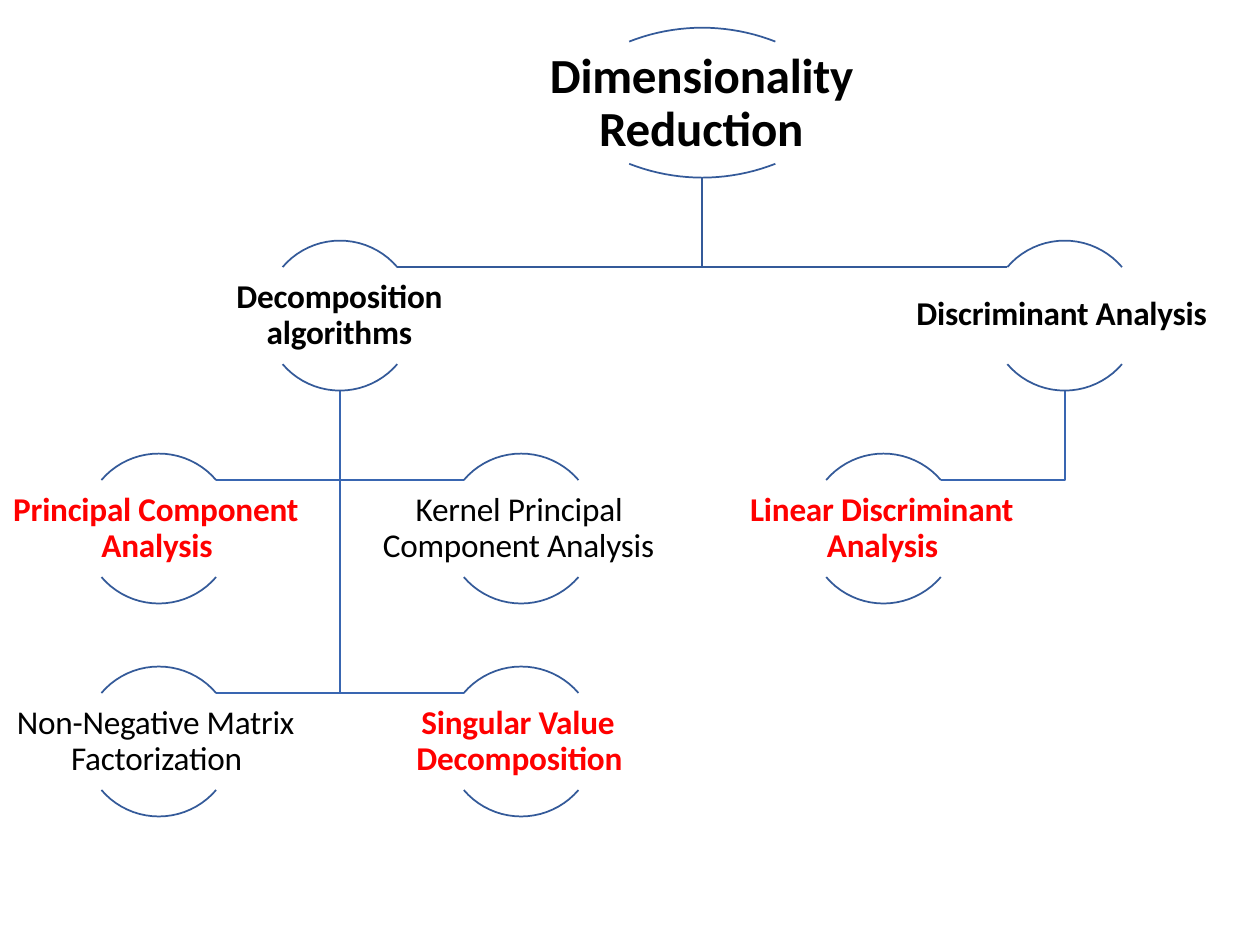
from dataclasses import dataclass
from math import asin, cos, sin

from pptx import Presentation
from pptx.dml.color import RGBColor
from pptx.enum.text import MSO_ANCHOR, MSO_AUTO_SIZE, PP_ALIGN
from pptx.util import Inches, Pt

TOP = MSO_ANCHOR.TOP
GROW = MSO_AUTO_SIZE.SHAPE_TO_FIT_TEXT
LEFT = PP_ALIGN.LEFT

WIDE, HIGH = 10, 7.5
COL, ROW = (8.45 - 1.26) / 5, 1.69
EDGE, HEAD = 1.26, 0.22
TALL = 1.19
STEPS = 20


@dataclass(frozen=True)
class Theme:
    font: str = "Calibri"
    ink: str = "000000"
    key: str = "FF0000"
    arc: str = "345A99"
    link: str = "3966B1"
    line: float = 1
    title: float = 28
    body: float = 19
    title_gap: float = 30.2
    body_gap: float = 20.5
    track: str = "-10"


THEME = Theme()


@dataclass(frozen=True)
class Node:
    text: str
    col: float
    row: int
    span: float
    left: float
    first: float
    bold: bool = True
    color: str = THEME.ink
    half: float = 0.455
    sag: float = 0.21
    drop: float = 0.26
    tall: float = 0.63
    inset: float = 0.05
    size: float = THEME.body
    gap: float | None = THEME.body_gap
    before: float = 3.6

    @property
    def mid(self):
        return EDGE + self.col * COL

    @property
    def top(self):
        return HEAD + self.row * ROW

    @property
    def base(self):
        return self.top + TALL


ROOT = Node("Dimensionality Reduction", 3, 0, 1.71, 0.41, -0.39,
            half=0.58, sag=0.11, drop=0.11, tall=0.91, inset=0.07,
            size=THEME.title, gap=THEME.title_gap, before=4.8)
SPLIT = Node("Decomposition algorithms", 1, 1, 1.17, 0.26, -0.24)
CLASS = Node("Discriminant Analysis", 5, 1, 1.65, 0.01, 0,
             drop=0.4, tall=0.34, inset=0.01, gap=None, before=1)
PARTS = [
    Node("Principal Component Analysis", 0, 2, 1.62, 0.71, -0.7, color=THEME.key),
    Node("Kernel Principal Component Analysis", 2, 2, 1.54, 0.01, 0.26, bold=False),
    Node("Non-Negative Matrix Factorization", 0, 3, 1.58, 0.44, -0.43, bold=False),
    Node("Singular Value Decomposition", 2, 3, 1.17, 0.01, 0.04, color=THEME.key),
]
LINEAR = Node("Linear Discriminant Analysis", 4, 2, 1.5, 0.63, -0.61, color=THEME.key)


def draw(slide, trails, color):
    trails = [[(Inches(x), Inches(y)) for x, y in trail] for trail in trails]
    pen = slide.shapes.build_freeform(*trails[0][0])
    for num, trail in enumerate(trails):
        if num:
            pen.move_to(*trail[0])
        pen.add_line_segments(trail[1:], close=False)
    shape = pen.convert_to_shape()
    shape.shadow.inherit = False
    shape.fill.background()
    shape.line.color.rgb = RGBColor.from_string(color)
    shape.line.width = Pt(THEME.line)


def link(slide, start, ends, color):
    trails = []
    for end in ends:
        turn = end.top + end.sag
        side = end.half if end.mid < start.mid else -end.half
        trails.append([(start.mid, start.base), (start.mid, turn),
                       (end.mid + side, turn)])
    draw(slide, trails, color)


def add_arcs(slide, node):
    radius = (node.half ** 2 + node.sag ** 2) / (2 * node.sag)
    sweep = asin(node.half / radius)
    turns = [sweep * (2 * n / STEPS - 1) for n in range(STEPS + 1)]
    for peak, sign in ((node.top, 1), (node.base, -1)):
        trail = [(node.mid + radius * sin(a), peak + sign * radius * (1 - cos(a)))
                 for a in turns]
        draw(slide, [trail], THEME.arc)


def add_label(box, node):
    frame = box.text_frame
    frame.word_wrap = True
    frame.auto_size = GROW
    frame.vertical_anchor = TOP
    frame.margin_left = frame.margin_right = frame.margin_bottom = 0
    frame.margin_top = Inches(node.inset)
    para = frame.paragraphs[0]
    para.alignment = LEFT
    para.space_before = Pt(node.before)
    para.line_spacing = Pt(node.gap) if node.gap else 1.0
    props = para._p.get_or_add_pPr()
    props.set("marL", str(Inches(node.left)))
    props.set("indent", str(Inches(node.first)))
    run = para.add_run()
    run.text = node.text
    font = run.font
    font.name = THEME.font
    font.size = Pt(node.size)
    font.bold = node.bold
    font.color.rgb = RGBColor.from_string(node.color)
    run._r.get_or_add_rPr().set("spc", THEME.track)


def add_node(slide, node, box=None):
    add_arcs(slide, node)
    width = node.span * COL
    place = [Inches(v) for v in (node.mid - width / 2, node.top + node.drop,
                                 width, node.tall)]
    if box is None:
        box = slide.shapes.add_textbox(*place)
    else:
        box.left, box.top, box.width, box.height = place
    add_label(box, node)


def main():
    deck = Presentation()
    deck.slide_width, deck.slide_height = Inches(WIDE), Inches(HIGH)
    slide = deck.slides.add_slide(deck.slide_layouts[5])
    link(slide, CLASS, [LINEAR], THEME.link)
    link(slide, ROOT, [CLASS], THEME.arc)
    link(slide, SPLIT, PARTS, THEME.link)
    link(slide, ROOT, [SPLIT], THEME.arc)
    add_node(slide, ROOT, slide.shapes.title)
    for node in (SPLIT, *PARTS, CLASS, LINEAR):
        add_node(slide, node)
    deck.save("out.pptx")


if __name__ == "__main__":
    main()
